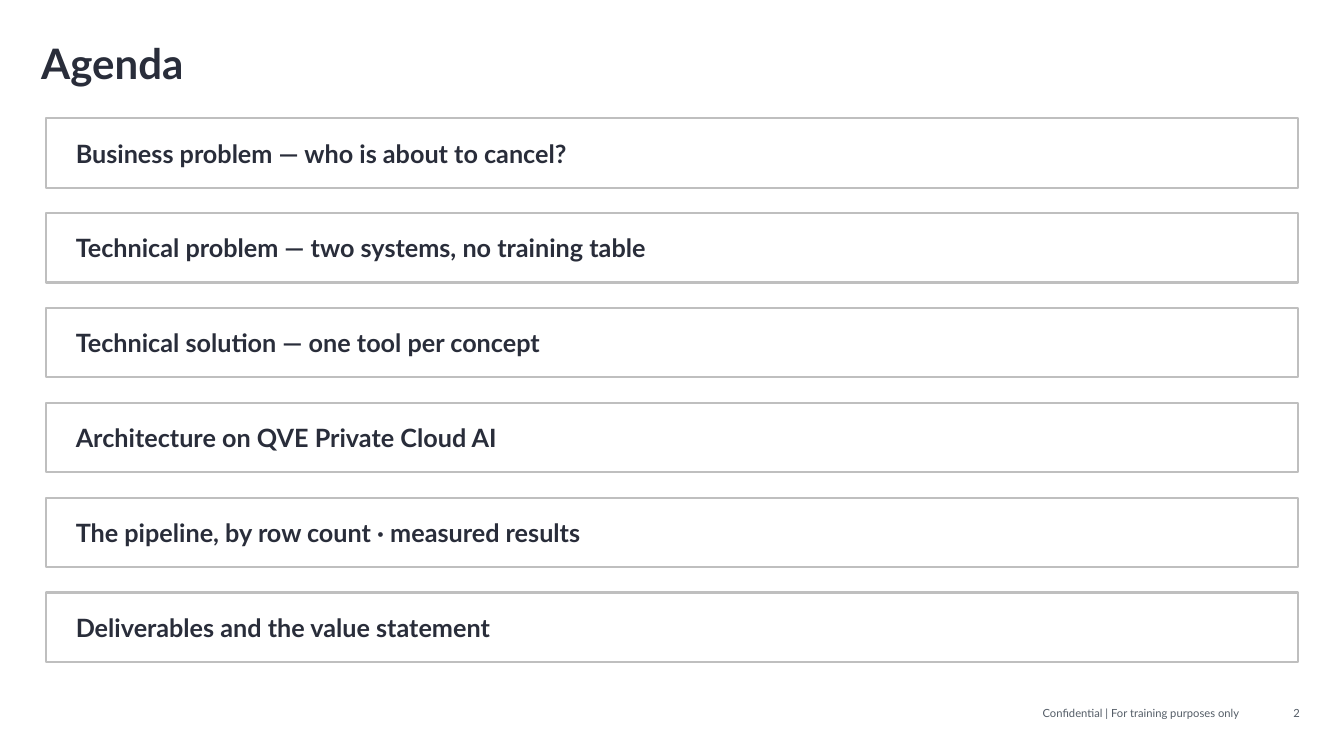
from pptx import Presentation
from pptx.dml.color import RGBColor
from pptx.enum.shapes import MSO_SHAPE as Shape
from pptx.enum.text import MSO_ANCHOR as Anchor, PP_ALIGN as Align
from pptx.util import Cm, Pt

INK, GREY, BORDER = "292D3A", "535C66", "BFBFBF"


def color(hex_code):
    return RGBColor.from_string(hex_code)


def write(box, text, size, ink, bold=False, align=Align.LEFT, inset=(0, 0)):
    """Fill a box with one line of text; inset is (horizontal, vertical) in cm."""
    frame = box.text_frame
    frame.word_wrap = True
    frame.margin_left = frame.margin_right = Cm(inset[0])
    frame.margin_top = frame.margin_bottom = Cm(inset[1])
    para = frame.paragraphs[0]
    para.alignment = align
    span = para.add_run()
    span.text = text
    span.font.name = "Lato"
    span.font.size = Pt(size)
    span.font.bold = bold
    span.font.color.rgb = color(ink)
    return frame


deck = Presentation()
deck.slide_width, deck.slide_height = Cm(33.87), Cm(19.05)
page = deck.slides.add_slide(deck.slide_layouts[6])

# Title
title = page.shapes.add_textbox(Cm(1.04), Cm(1.09), Cm(31.75), Cm(1.14))
write(title, "Agenda", 30, INK, bold=True).paragraphs[0].line_spacing = 0.9

# Agenda items, evenly stacked
topics = [
    "Business problem — who is about to cancel?",
    "Technical problem — two systems, no training table",
    "Technical solution — one tool per concept",
    "Architecture on QVE Private Cloud AI",
    "The pipeline, by row count · measured results",
    "Deliverables and the value statement",
]
first_top, pitch = 2.98, 2.39
for index, topic in enumerate(topics):
    box = page.shapes.add_shape(
        Shape.RECTANGLE, Cm(1.15), Cm(first_top + index * pitch), Cm(31.57), Cm(1.75))
    box.shadow.inherit = False
    box.fill.background()
    box.line.color.rgb = color(BORDER)
    box.line.width = Pt(1.5)
    frame = write(box, topic, 18, INK, bold=True, inset=(0.76, 0.13))
    frame.vertical_anchor = Anchor.MIDDLE

# Footer and page number
for text, left, width in [
    ("Confidential | For training purposes only", 14.1, 17.27),
    ("2", 31.62, 1.27),
]:
    box = page.shapes.add_textbox(Cm(left), Cm(17.73), Cm(width), Cm(0.64))
    write(box, text, 8, GREY, align=Align.RIGHT, inset=(0.13, 0.08))

deck.save("out.pptx")
